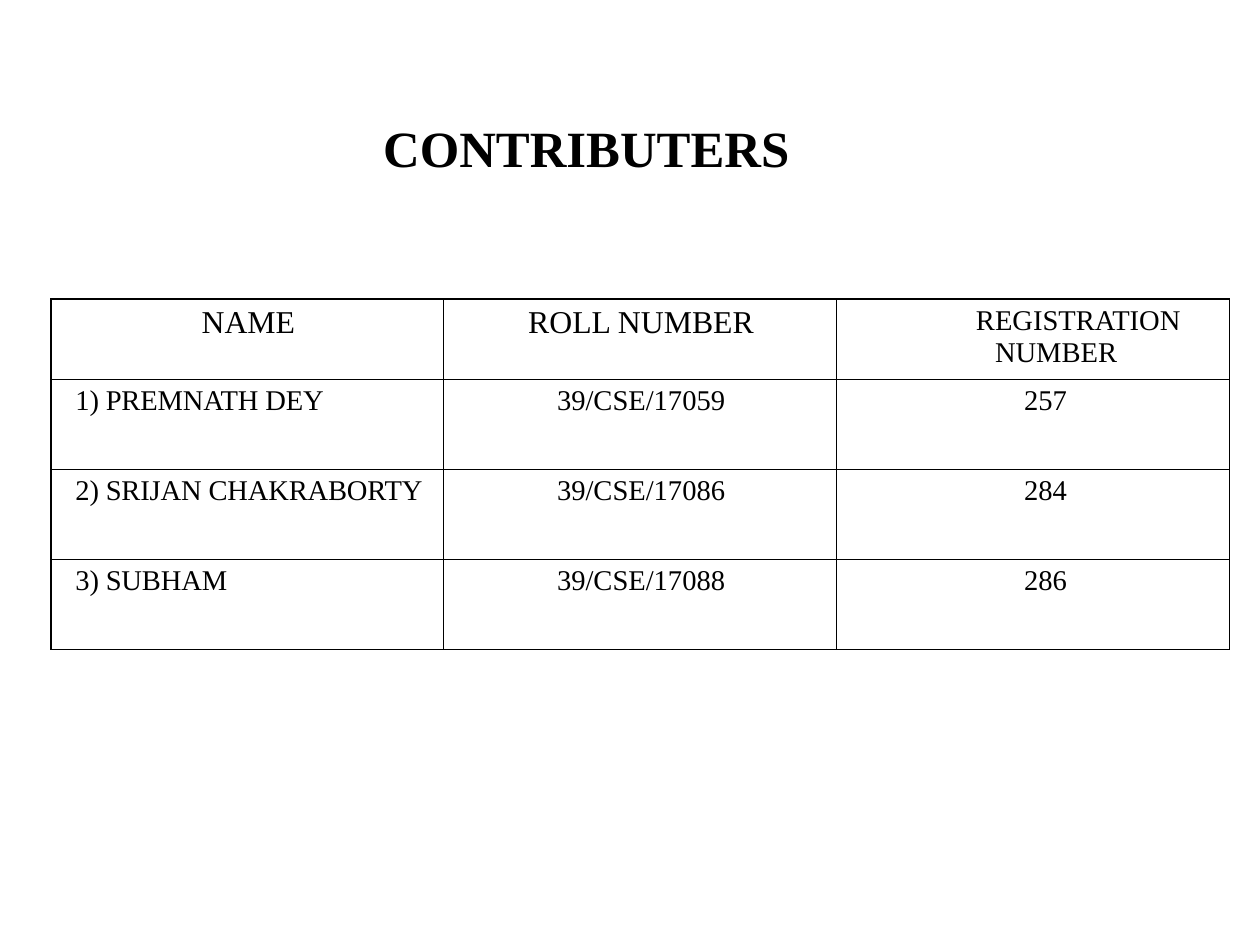
from dataclasses import dataclass

from lxml import etree
from pptx import Presentation
from pptx.dml.color import RGBColor
from pptx.enum.text import MSO_ANCHOR, MSO_AUTO_SIZE, PP_ALIGN
from pptx.oxml.ns import qn
from pptx.util import Inches, Pt

PX = 914400 / 114.2
LEFT, CENTER = PP_ALIGN.LEFT, PP_ALIGN.CENTER
TOP = MSO_ANCHOR.TOP
NO_AUTOFIT = MSO_AUTO_SIZE.NONE
TITLE_ONLY = 5


@dataclass(frozen=True)
class Theme:
    font: str = "Times New Roman"
    ink: str = "000000"
    paper: str = "FFFFFF"
    title: int = 32
    header: int = 20
    body: int = 18
    rule: float = 0.96


THEME = Theme()

HEADERS = ["NAME", "ROLL NUMBER", "REGISTRATION NUMBER"]
HEADER_FORMATS = [
    dict(size=THEME.header, align=CENTER, indent=2),
    dict(size=THEME.header, align=CENTER, indent=2),
    dict(size=THEME.body, indent=147, first_line=-19),
]
CONTRIBUTORS = [
    ["1) PREMNATH DEY", "39/CSE/17059", "257"],
    ["2) SRIJAN CHAKRABORTY", "39/CSE/17086", "284"],
    ["3) SUBHAM", "39/CSE/17088", "286"],
]
BODY_FORMATS = [
    dict(size=THEME.body, indent=13, tracking=-0.1),
    dict(size=THEME.body, align=CENTER, indent=2),
    dict(size=THEME.body, indent=176),
]


def px(n):
    return round(n * PX)


def write(tf, text, size, bold=False, align=LEFT, indent=0, first_line=0,
          before=3, tracking=0):
    """Indents are in px; size, space before and tracking are in points."""
    tf.word_wrap = True
    p = tf.paragraphs[0]
    p.alignment = align
    p.space_before = Pt(before)
    p.line_spacing = 1.0
    pPr = p._p.get_or_add_pPr()
    pPr.set("marL", str(px(indent)))
    pPr.set("indent", str(px(first_line)))
    r = p.add_run()
    r.text = text
    r.font.name = THEME.font
    r.font.size = Pt(size)
    r.font.bold = bold
    r.font.color.rgb = RGBColor.from_string(THEME.ink)
    if tracking:
        r._r.get_or_add_rPr().set("spc", str(round(tracking * 100)))


def outline_cell(cell):
    tcPr = cell._tc.get_or_add_tcPr()
    for i, side in enumerate(("lnL", "lnR", "lnT", "lnB")):
        ln = etree.Element(qn("a:" + side), w=str(Pt(THEME.rule)))
        fill = etree.SubElement(ln, qn("a:solidFill"))
        etree.SubElement(fill, qn("a:srgbClr"), val=THEME.ink)
        tcPr.insert(i, ln)


def add_title(slide, x, y, w, h):
    sp = slide.shapes.title
    sp.left, sp.top, sp.width, sp.height = px(x), px(y), px(w), px(h)
    tf = sp.text_frame
    tf.auto_size = NO_AUTOFIT
    tf.vertical_anchor = TOP
    tf.margin_left = tf.margin_right = tf.margin_bottom = 0
    tf.margin_top = px(1)
    write(tf, "CONTRIBUTERS", THEME.title, bold=True, indent=1, before=5)


def add_contributors(slide, x, y, w, header_h, row_h):
    rows = [HEADERS] + CONTRIBUTORS
    heights = [header_h] + [row_h] * len(CONTRIBUTORS)
    frame = slide.shapes.add_table(len(rows), len(HEADERS), px(x), px(y),
                                   px(w), px(sum(heights)))
    table = frame.table
    table.first_row = table.horz_banding = False
    for column in table.columns:
        column.width = px(w / len(HEADERS))
    for i, (texts, height) in enumerate(zip(rows, heights)):
        table.rows[i].height = px(height)
        formats = BODY_FORMATS if i else HEADER_FORMATS
        for j, (text, fmt) in enumerate(zip(texts, formats)):
            cell = table.cell(i, j)
            cell.margin_top = px(6)
            cell.margin_bottom = 0
            cell.vertical_anchor = TOP
            cell.fill.background()
            outline_cell(cell)
            write(cell.text_frame, text, **fmt)


def main():
    prs = Presentation()
    prs.slide_width, prs.slide_height = Inches(11.03), Inches(8.27)
    slide = prs.slides.add_slide(prs.slide_layouts[TITLE_ONLY])
    slide.background.fill.solid()
    slide.background.fill.fore_color.rgb = RGBColor.from_string(THEME.paper)
    add_title(slide, 382, 116, 410, 160)
    add_contributors(slide, 51, 299, 1178, header_h=80, row_h=90)
    prs.save("out.pptx")


if __name__ == "__main__":
    main()
